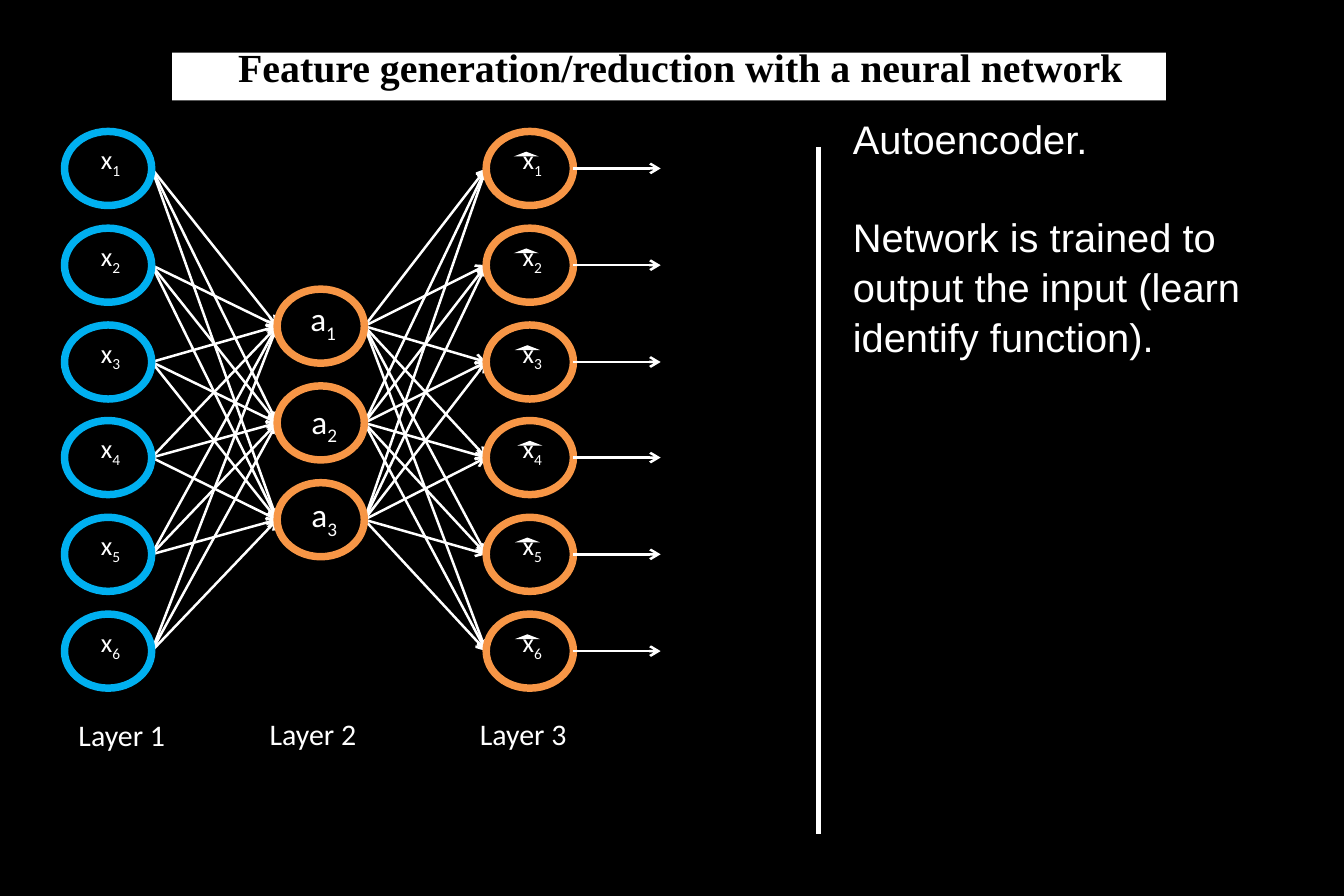
from lxml import etree
from pptx import Presentation
from pptx.dml.color import RGBColor
from pptx.enum.shapes import MSO_CONNECTOR, MSO_SHAPE
from pptx.enum.text import MSO_ANCHOR, PP_ALIGN
from pptx.oxml.ns import qn
from pptx.util import Emu, Pt

EMU_PER_PX = 9144  # 100 px to the inch
WHITE, BLACK, BLUE, ORANGE = "FFFFFF", "000000", "00B0F0", "F79646"


def px(length):
    return Emu(length * EMU_PER_PX)


def color(value):
    return RGBColor.from_string(value)


class NetworkSlide:
    """Holds the style and the slide being drawn."""

    font = "Calibri"
    node_width, node_height = 73, 62
    edge_weight = 1.5

    def __init__(self, presentation):
        self.slide = presentation.slides.add_slide(presentation.slide_layouts[6])
        fill = self.slide.background.fill
        fill.solid()
        fill.fore_color.rgb = color(BLACK)

    def filled(self, preset, left, top, width, height, fill):
        shape = self.slide.shapes.add_shape(
            preset, px(left), px(top), px(width), px(height))
        shape.shadow.inherit = False
        shape.fill.solid()
        shape.fill.fore_color.rgb = color(fill)
        shape.line.fill.background()

    def node(self, left, top, outline):
        shape = self.slide.shapes.add_shape(
            MSO_SHAPE.OVAL, px(left), px(top),
            px(self.node_width), px(self.node_height))
        shape.shadow.inherit = False
        shape.fill.background()
        shape.line.color.rgb = color(outline)
        shape.line.width = Pt(4.5)

    def line(self, start, end, weight, arrow=False):
        connector = self.slide.shapes.add_connector(
            MSO_CONNECTOR.STRAIGHT, *(px(value) for value in (*start, *end)))
        connector.line.color.rgb = color(WHITE)
        connector.line.width = Pt(weight)
        properties = connector._element.spPr
        if arrow:
            outline = properties.find(qn("a:ln"))
            etree.SubElement(outline, qn("a:tailEnd"), type="arrow")
        etree.SubElement(properties, qn("a:effectLst"))

    def edge(self, start, end):
        self.line(start, end, self.edge_weight, arrow=True)

    def text_box(self, left, top, width, height, wrap=False):
        box = self.slide.shapes.add_textbox(
            px(left), px(top), px(width), px(height))
        box.text_frame.word_wrap = wrap
        return box.text_frame

    def run(self, paragraph, text, size, font=None, ink=WHITE, bold=False):
        run = paragraph.add_run()
        run.text = text
        run.font.name = font or self.font
        run.font.size = Pt(size)
        run.font.bold = bold
        run.font.color.rgb = color(ink)
        return run

    def label(self, left, top, width, height, text, size, subscript=None):
        paragraph = self.text_box(left, top, width, height).paragraphs[0]
        paragraph.alignment = PP_ALIGN.CENTER
        self.run(paragraph, text, size)
        if subscript:
            lowered = self.run(paragraph, str(subscript), size)
            lowered.font._element.set("baseline", "-25000")

    def title(self, text):
        self.filled(MSO_SHAPE.RECTANGLE, 144, 44, 832, 40, WHITE)
        frame = self.text_box(109, 36, 921, 39, wrap=True)
        frame.vertical_anchor = MSO_ANCHOR.MIDDLE
        paragraph = frame.paragraphs[0]
        paragraph.alignment = PP_ALIGN.CENTER
        self.run(paragraph, text, 24, "Times New Roman", BLACK, bold=True)

    def explanation(self, texts):
        frame = self.text_box(704, 89, 392, 293, wrap=True)
        for index, text in enumerate(texts):
            paragraph = frame.add_paragraph() if index else frame.paragraphs[0]
            paragraph.line_spacing = 1.05
            if index:
                paragraph.space_before = Pt(29)
            self.run(paragraph, text, 24, "Arial")

    def hat(self, left, top):
        self.filled(MSO_SHAPE.ISOSCELES_TRIANGLE, left, top, 21, 7, BLACK)
        self.filled(MSO_SHAPE.ISOSCELES_TRIANGLE, left, top + 3, 21, 4, WHITE)


def main():
    presentation = Presentation()
    presentation.slide_width, presentation.slide_height = px(1125), px(750)
    network = NetworkSlide(presentation)
    network.title("Feature generation/reduction with a neural network")

    # Node positions of the three layers
    input_left, hidden_left, output_left = 54, 232, 407
    outer_tops = [round(110 + 80.8 * row) for row in range(6)]
    hidden_tops = [242 + 81 * row for row in range(3)]
    width, middle = network.node_width, network.node_height // 2

    # Edges into and out of the hidden layer
    for hidden_top in hidden_tops:
        hidden_y = hidden_top + middle
        for outer_top in outer_tops:
            outer_y = outer_top + middle
            network.edge((input_left + width, outer_y), (hidden_left, hidden_y))
            network.edge((hidden_left + width, hidden_y), (output_left, outer_y))

    # Input and output layers
    hat_lefts = [430, 430, 431, 433, 431, 431]
    for number, (top, hat_left) in enumerate(zip(outer_tops, hat_lefts), 1):
        for left, outline in ((input_left, BLUE), (output_left, ORANGE)):
            network.node(left, top, outline)
            network.label(left + 20, top + 5, 37, 37, "x", 16, number)
        network.hat(hat_left, top + 14)
        network.edge((output_left + width, top + middle), (553, top + middle))

    # Hidden layer
    label_spots = [(249, 245), (250, 331), (250, 409)]
    for number, (top, spot) in enumerate(zip(hidden_tops, label_spots), 1):
        network.node(hidden_left, top, ORANGE)
        network.label(*spot, 43, 44, "a", 20, number)

    # Layer captions
    for number, (left, top) in enumerate([(55, 595), (215, 594), (391, 594)], 1):
        network.label(left, top, 94, 40, f"Layer {number}", 18)

    # Explanation beside the divider
    network.line((685, 123), (685, 698), 3)
    network.explanation([
        "Autoencoder.",
        "Network is trained to output the input (learn identify function).",
    ])
    presentation.save("out.pptx")


if __name__ == "__main__":
    main()
